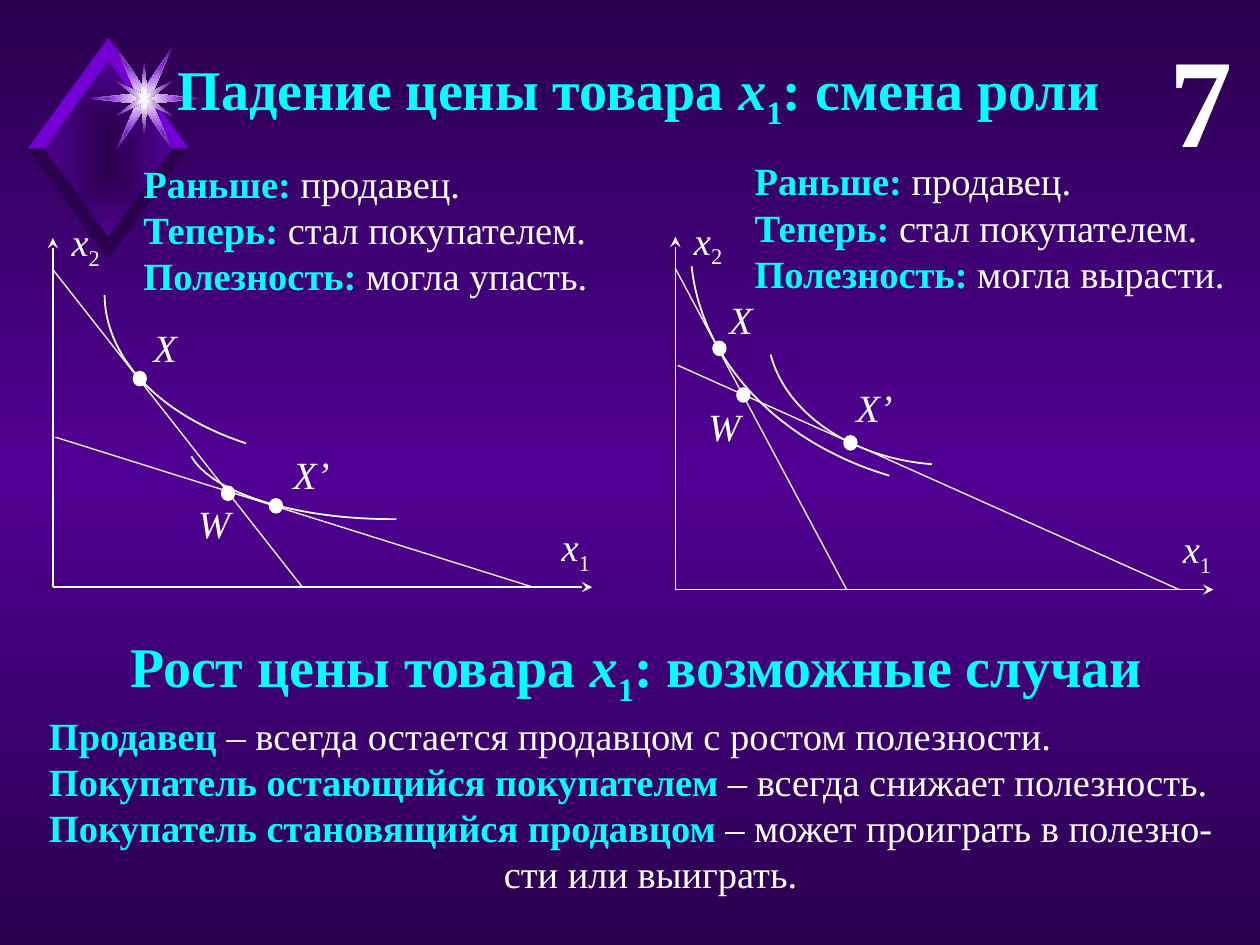
import pptx
import pptx.util
import pptx.dml.color
import pptx.enum.shapes
import pptx.enum.text
import pptx.oxml.ns
from lxml import etree

WIDTH, HEIGHT = pptx.util.Inches(10), pptx.util.Inches(7.5)
COLUMN, ROW = WIDTH / 100, HEIGHT / 75
FONT = "Times New Roman"
COLORS = {"white": "FFFFFF", "cyan": "00FFFF", "dark": "2A004E",
          "violet": "500093", "bright": "7500D7", "spark": "F9F9F9"}
ALIGN = pptx.enum.text.PP_ALIGN
SHAPE = pptx.enum.shapes.MSO_SHAPE
qn = pptx.oxml.ns.qn


def rgb(name):
    """Return the named colour."""
    return pptx.dml.color.RGBColor.from_string(COLORS[name])


def cells(*values):
    """Turn alternating columns and rows into lengths."""
    return [round(value * (ROW if i % 2 else COLUMN)) for i, value in enumerate(values)]


def blend(fill, element, names, radial):
    """Give a fill evenly spaced gradient stops, radial or top to bottom."""
    fill.gradient()
    grad = element.find(".//" + qn("a:gradFill"))
    grad.clear()
    stops = etree.SubElement(grad, qn("a:gsLst"))
    for i, name in enumerate(names):
        stop = etree.SubElement(stops, qn("a:gs"), pos=str(100000 * i // (len(names) - 1)))
        etree.SubElement(stop, qn("a:srgbClr"), val=COLORS[name])
    if radial:
        focus = etree.SubElement(grad, qn("a:path"))
        focus.set("path", "rect")
        etree.SubElement(focus, qn("a:fillToRect"), dict.fromkeys("ltrb", "50000"))
    else:
        etree.SubElement(grad, qn("a:lin"), ang="5400000", scaled="0")


def write(shape, rows, size=22, align=ALIGN.LEFT, margin=None, color="white", indents=()):
    """Fill a shape with rows of (text, style) spans; styles: b bold, i italic, s subscript, c cyan."""
    frame = shape.text_frame
    frame.word_wrap = True
    frame.vertical_anchor = pptx.enum.text.MSO_ANCHOR.TOP
    frame.auto_size = pptx.enum.text.MSO_AUTO_SIZE.NONE
    if margin is not None:
        frame.margin_left = frame.margin_right = frame.margin_top = frame.margin_bottom = margin
    for i, row in enumerate(rows):
        para = frame.add_paragraph() if i else frame.paragraphs[0]
        para.alignment = align
        if i in indents:
            para._p.get_or_add_pPr().set("marL", str(indents[i]))
        for text, style in row:
            span = para.add_run()
            span.text = text
            span.font.name, span.font.size = FONT, pptx.util.Pt(size)
            span.font.bold, span.font.italic = "b" in style, "i" in style
            span.font.color.rgb = rgb("cyan" if "c" in style else color)
            if "s" in style:
                span._r.get_or_add_rPr().set("baseline", "-25000")


def add_text(shapes, box, rows, **style):
    """Add a text box on the grid."""
    write(shapes.add_textbox(*cells(*box)), rows, **style)


def add_outline(shapes, center, points, names):
    """Add a closed polygon around a centre, in a plain or radial fill."""
    corners = [cells(center[0] + x, center[1] + y) for x, y in points]
    builder = shapes.build_freeform(*corners[0], scale=1.0)
    builder.add_line_segments(corners[1:], close=True)
    shape = builder.convert_to_shape()
    shape.shadow.inherit = False
    shape.line.fill.background()
    if len(names) > 1:
        blend(shape.fill, shape._element, names, radial=True)
    else:
        shape.fill.solid()
        shape.fill.fore_color.rgb = rgb(names[0])


def mirrored(quarter):
    """Reflect a quarter outline, right axis to vertical axis, into a whole one."""
    half = quarter + [(-x, y) for x, y in reversed(quarter[:-1])]
    return half + [(x, -y) for x, y in reversed(half[1:-1])]


def add_emblem(page, center, star):
    """Draw the bevelled diamond with a layered star."""
    shapes = page.shapes.add_group_shape().shapes
    add_outline(shapes, center, mirrored([(5.2, 0), (0, 7.1)]), ["dark", "violet"])
    for down, name in ((-1, "bright"), (1, "dark")):
        for side in (1, -1):
            bevel = [(0, 7), (0, 8.8), (6.4, 0), (5.1, 0)]
            add_outline(shapes, center, [(side * x, down * y) for x, y in bevel], [name])
    rays = [([(4.55, 0), (0.65, 0.4), (2.25, 4.15), (0, 0.8)], ["white", "violet"]),
            ([(3.3, 0), (0.65, 0.4), (1.65, 3.05), (0, 0.8)], ["white", "bright"]),
            ([(0.45, 0), (2.35, 1.45), (0.25, 0.4), (0, 2.9)], ["white", "violet"]),
            ([(0.2, 0), (0.55, 0.4), (0.1, 0.2), (0, 0.7)], ["spark"])]
    for quarter, names in rays:
        add_outline(shapes, star, mirrored(quarter), names)


def add_line(shapes, start, end, arrow=False):
    """Add a thin white line, with an arrowhead at its end if asked."""
    line = shapes.add_connector(pptx.enum.shapes.MSO_CONNECTOR.STRAIGHT, *cells(*start, *end))
    line.line.color.rgb = rgb("white")
    line.line.width = pptx.util.Pt(0.75)
    properties = line._element.spPr
    if arrow:
        etree.SubElement(properties.find(qn("a:ln")), qn("a:tailEnd"), type="stealth")
    etree.SubElement(properties, qn("a:effectLst"))


def add_mark(shapes, kind, box):
    """Add a white outlined shape without shadow."""
    shape = shapes.add_shape(kind, *cells(*box))
    shape.shadow.inherit = False
    shape.line.color.rgb = rgb("white")
    shape.line.width = pptx.util.Pt(1)
    return shape


def add_diagram(page, box, budgets, curves, points):
    """Draw axes, budget lines, indifference curves and labelled points in a box."""
    left, top, width, height = box
    shapes = page.shapes.add_group_shape().shapes
    origin = (left, top + height)
    add_line(shapes, origin, (left, top), arrow=True)
    add_line(shapes, origin, (left + width, top + height), arrow=True)
    for x, y, reach in budgets:
        add_line(shapes, (left + x, top + y), (left + reach, top + height))
    for x, y, wide, high, start, end in curves:
        arc = add_mark(shapes, SHAPE.ARC, (left + x, top + y, wide, high))
        arc.fill.background()
        arc.rotation = 180
        arc.adjustments[0], arc.adjustments[1] = start * 0.6, end * 0.6
    labels = [([("x", "i"), ("1", "s")], width - 4.2, height - 5.2, 5.8),
              ([("x", "i"), ("2", "s")], 0.1, -1.7, 5)]
    for name, x, y, label_x, label_y in points:
        dot = add_mark(shapes, SHAPE.OVAL, (left + x, top + y, 1, 1.1))
        dot.fill.solid()
        dot.fill.fore_color.rgb = rgb("white")
        labels.append(([(name, "i")], label_x, label_y, 5.4))
    for spans, x, y, wide in labels:
        add_text(shapes, (left + x, top + y, wide, 3.9), [spans],
                 align=ALIGN.CENTER, margin=pptx.util.Inches(0.01))


def heading(before, after):
    """Return the spans of a heading about the price of good x1."""
    return [[(before, "bc"), ("x", "bic"), ("1", "bsc"), (after, "bc")]]


def terms(*pairs):
    """Return rows with a highlighted term and its explanation."""
    return [[(term + " ", "bc"), (text, "")] for term, text in pairs]


def add_roles(page, box, utility):
    """List the roles before and now and the change in utility."""
    add_text(page.shapes, box, terms(("Раньше:", "продавец."),
                                     ("Теперь:", "стал покупателем."),
                                     ("Полезность:", utility)))


def main():
    """Build the slide and save it."""
    deck = pptx.Presentation()
    deck.slide_width, deck.slide_height = WIDTH, HEIGHT
    page = deck.slides.add_slide(deck.slide_layouts[5])
    blend(page.background.fill, page._element, ["dark", "violet", "dark"], radial=False)
    add_emblem(page, center=(8.6, 11.8), star=(11.45, 7.82))

    title = page.shapes.title
    title.left, title.top, title.width, title.height = cells(2.6, 3.8, 96.2, 6.4)
    write(title, heading("Падение цены товара ", ": смена роли"), size=32, align=ALIGN.CENTER)
    title._element.getparent().append(title._element)
    add_text(page.shapes, (86.3, 1.2, 12.5, 13.1), [[("7", "b")]], size=72, align=ALIGN.RIGHT)

    add_diagram(page, (53.6, 18.8, 42.7, 28),
                budgets=[(0, 2.5, 13.6), (0.2, 10.2, 40)],
                curves=[(7.3, -3.5, 29.2, 21.6, 278.13, 351.88),
                        (1.2, -18.8, 47.8, 38.9, 293.95, 355.96)],
                points=[("X", 3, 8.3, 2.5, 4.6), ("W", 4.9, 12, 1.2, 13.1),
                        ("X’", 13.4, 15.8, 13.1, 11.6)])
    add_roles(page, (10.4, 12.2, 39.8, 12.1), "могла упасть.")
    add_diagram(page, (4.2, 18.9, 42.8, 27.7),
                budgets=[(0, 2.5, 19.8), (0.2, 15.8, 38.1)],
                curves=[(10.6, 9.6, 32.6, 12.7, 266.91, 355.07),
                        (4.1, -8.8, 40.8, 26.5, 307.82, 359.78)],
                points=[("X", 6.4, 10.6, 6.2, 6.7), ("W", 13.4, 19.7, 10.1, 20.7),
                        ("X’", 17.2, 20.7, 17.8, 16.8)])
    add_roles(page, (58.9, 12, 39.8, 12.1), "могла вырасти.")

    add_text(page.shapes, (2.4, 49.6, 96.2, 6.4),
             heading("Рост цены товара ", ": возможные случаи"), size=32, align=ALIGN.CENTER)
    cases = terms(("Продавец", "– всегда остается продавцом с ростом полезности."),
                  ("Покупатель остающийся покупателем", "– всегда снижает полезность."),
                  ("Покупатель становящийся продавцом", "– может проиграть в полезно-"))
    add_text(page.shapes, (2.9, 56, 95.2, 15.8), cases + [[("сти или выиграть.", "")]],
             indents={3: round(36.1 * COLUMN)})
    deck.save("out.pptx")


if __name__ == "__main__":
    main()
